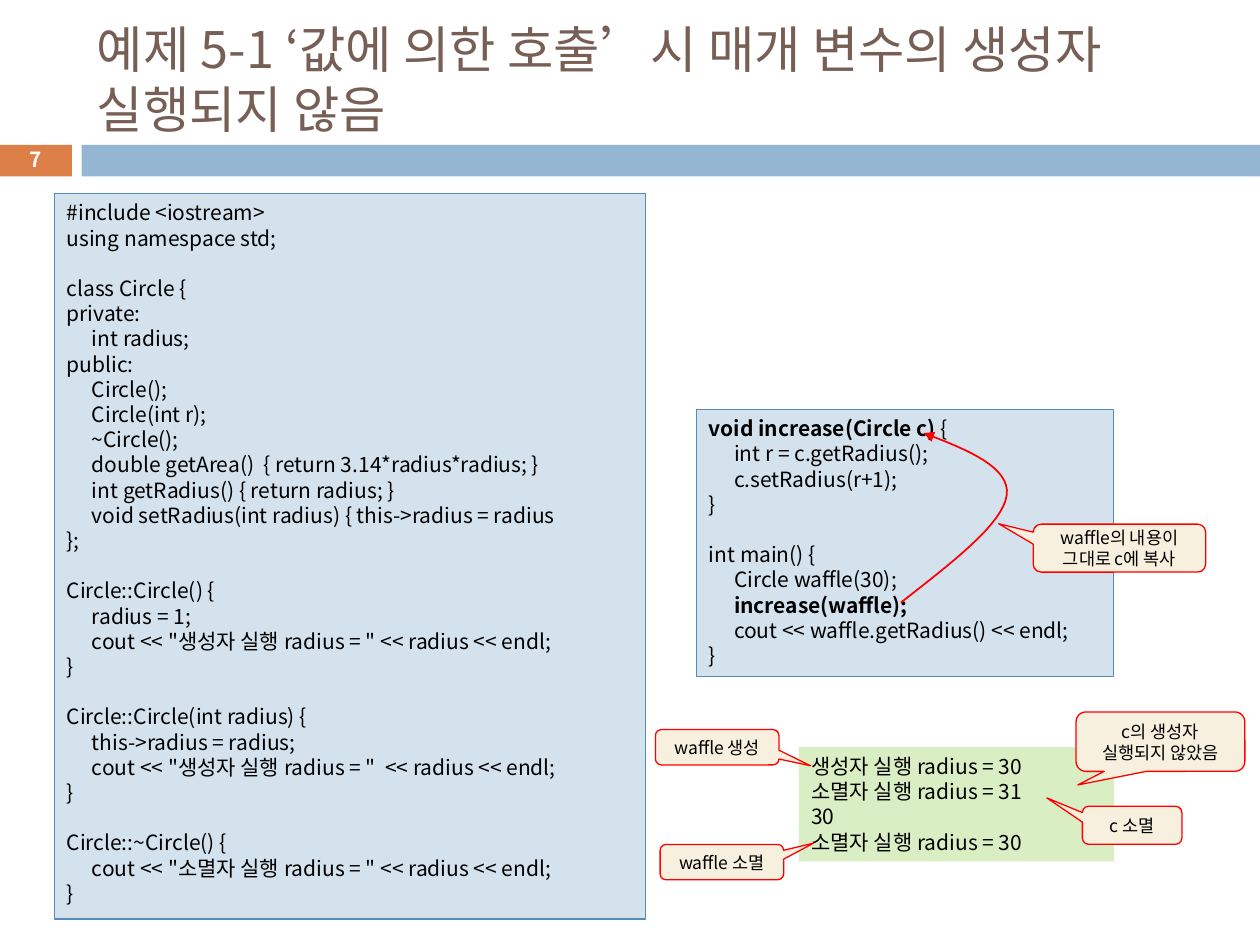
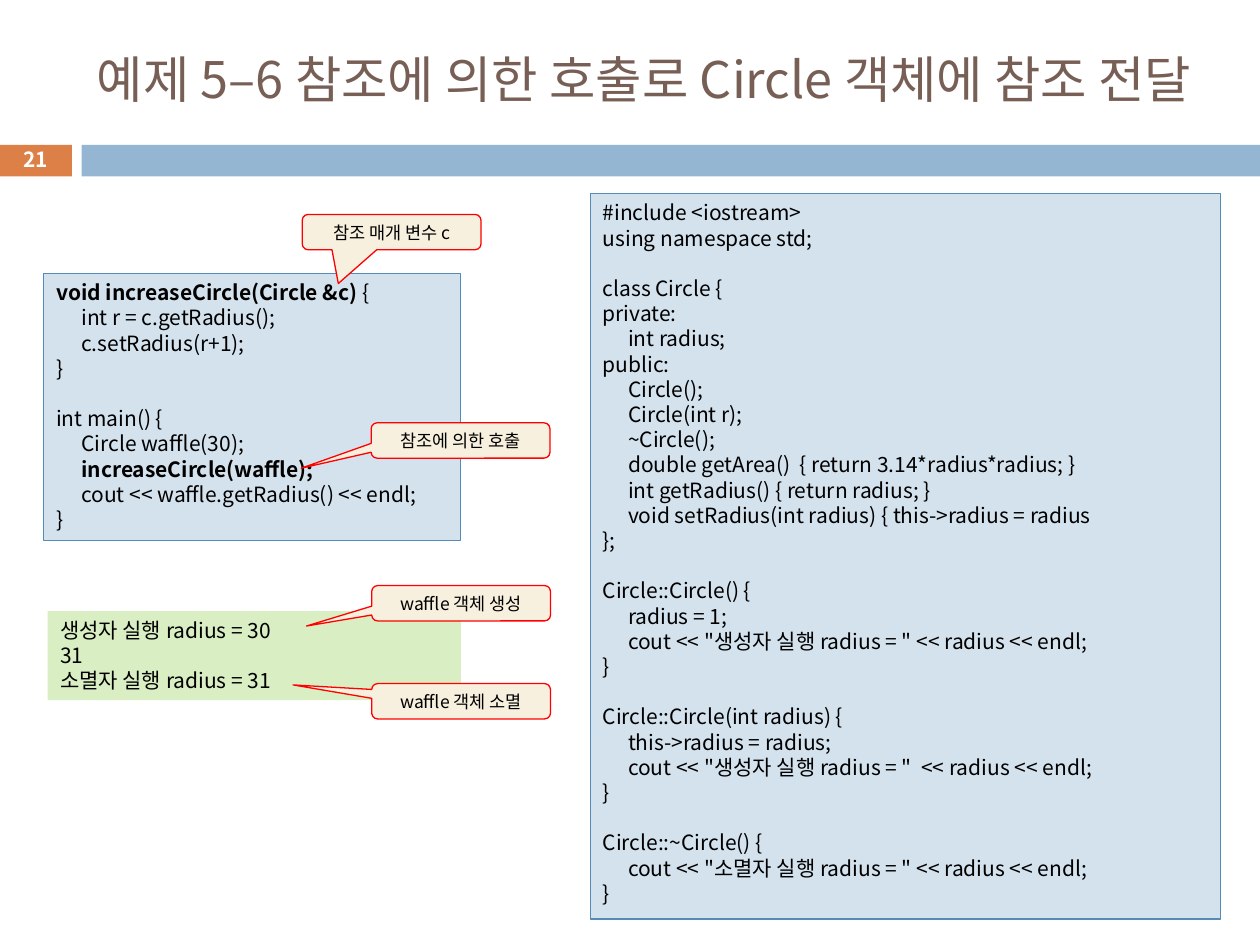
from lxml import etree
from pptx import Presentation
from pptx.dml.color import RGBColor
from pptx.enum.shapes import MSO_SHAPE
from pptx.enum.text import MSO_ANCHOR, PP_ALIGN
from pptx.oxml.ns import qn
from pptx.util import Pt

RECT = MSO_SHAPE.RECTANGLE
CALLOUT = MSO_SHAPE.ROUNDED_RECTANGULAR_CALLOUT
TOP, MIDDLE = MSO_ANCHOR.TOP, MSO_ANCHOR.MIDDLE
LEFT, CENTER = PP_ALIGN.LEFT, PP_ALIGN.CENTER

BLACK = RGBColor(0x00, 0x00, 0x00)
WHITE = RGBColor(0xFF, 0xFF, 0xFF)
RED = RGBColor(0xFF, 0x00, 0x00)
BROWN = RGBColor(0x77, 0x5F, 0x55)
ORANGE = RGBColor(0xDD, 0x80, 0x47)
BLUE = RGBColor(0x94, 0xB6, 0xD2)
PALE = RGBColor(0xD4, 0xE2, 0xED)
EDGE = RGBColor(0x55, 0x8B, 0xB8)
GREEN = RGBColor(0xDA, 0xEE, 0xC4)
CREAM = RGBColor(0xF7, 0xF0, 0xDE)

FONT = "Noto Sans CJK KR"
LEADING = 1.2
INDENT = 14.4
TAB = "    "
BOLD = "**"

CIRCLE = """#include <iostream>
using namespace std;

class Circle {
private:
    int radius;
public:
    Circle();
    Circle(int r);
    ~Circle();
    double getArea()  { return 3.14*radius*radius; }
    int getRadius() { return radius; }
    void setRadius(int radius) { this->radius = radius
};

Circle::Circle() {
    radius = 1;
    cout << "생성자 실행 radius = " << radius << endl;
}

Circle::Circle(int radius) {
    this->radius = radius;
    cout << "생성자 실행 radius = "  << radius << endl;
}

Circle::~Circle() {
    cout << "소멸자 실행 radius = " << radius << endl;
}"""


def caller(name, param):
    """C++ code of a function that changes a Circle, and the main that calls it."""
    return f"""**void {name}(Circle {param}) **{{
    int r = c.getRadius();
    c.setRadius(r+1);
}}

int main() {{
    Circle waffle(30);
    **{name}(waffle);**
    cout << waffle.getRadius() << endl;
}}"""


def bezier(a, b, c, d, steps=16):
    """Points along a cubic curve, without its start."""
    points = []
    for i in range(1, steps + 1):
        t = i / steps
        u = 1 - t
        points.append(tuple(
            Pt(u**3 * p + 3 * u * u * t * q + 3 * u * t * t * r + t**3 * s)
            for p, q, r, s in zip(a, b, c, d)))
    return points


class Deck:
    def __init__(self):
        self.prs = Presentation()
        self.prs.slide_width, self.prs.slide_height = Pt(720), Pt(540)
        self.slide = None

    def page(self, number, title):
        """Start a slide with its bands, title and number."""
        self.slide = self.prs.slides.add_slide(self.prs.slide_layouts[6])
        self.box((-0.7, 82.8, 41.8, 18), ORANGE)
        self.box((46.6, 82.8, 673.4, 18), BLUE)
        self.label((48.2, 18, 642.2, 53.3), title, 28.8, BROWN)
        self.label((-0.7, 81.4, 41.8, 19.4), BOLD + str(number) + BOLD,
                   11.9, WHITE, CENTER)

    def box(self, at, fill, line=None, kind=RECT):
        shape = self.slide.shapes.add_shape(kind, *map(Pt, at))
        shape.shadow.inherit = False
        shape.fill.solid()
        shape.fill.fore_color.rgb = fill
        if line is None:
            shape.line.fill.background()
        else:
            shape.line.color.rgb = line
            shape.line.width = Pt(0.75)
        return shape

    def put(self, shape, text, size, color=BLACK, align=LEFT, anchor=TOP):
        """Fill a shape; an empty line is a gap, ** switches bold."""
        frame = shape.text_frame
        frame.word_wrap = True
        frame.vertical_anchor = anchor
        pitch = Pt(size * LEADING)
        para, gap = None, False
        for line in text.split("\n"):
            if not line:
                gap = True
                continue
            para = frame.add_paragraph() if para else frame.paragraphs[0]
            para.alignment = align
            para.line_spacing = pitch
            if gap:
                para.space_before = pitch
            gap = False
            if line.startswith(TAB):
                para._p.get_or_add_pPr().set("marL", str(Pt(INDENT)))
                line = line[len(TAB):]
            for i, part in enumerate(line.split(BOLD)):
                if part:
                    run = para.add_run()
                    run.text = part
                    self.style(run, size, color, i % 2 == 1)

    def style(self, run, size, color, bold):
        font = run.font
        font.size, font.bold, font.name = Pt(size), bold, FONT
        font.color.rgb = color
        east = etree.SubElement(run._r.get_or_add_rPr(), qn("a:ea"))
        east.set("typeface", FONT)

    def label(self, at, text, size, color, align=LEFT):
        shape = self.slide.shapes.add_textbox(*map(Pt, at))
        self.put(shape, text, size, color, align, MIDDLE)

    def code(self, at, text):
        self.put(self.box(at, PALE, EDGE), text, 12)

    def output(self, at, text):
        self.put(self.box(at, GREEN), text, 12)

    def callout(self, at, tip, text):
        """Balloon whose tip is given as shares of its size from its centre."""
        shape = self.box(at, CREAM, RED, CALLOUT)
        for i, value in enumerate((*tip, 0.167)):
            shape.adjustments[i] = value
        self.put(shape, text, 10, BLACK, CENTER, MIDDLE)

    def curve(self, start, *parts):
        """Red arrow along cubic parts, each two controls and an end."""
        outline = self.slide.shapes.build_freeform(*map(Pt, start), scale=1.0)
        for part in parts:
            outline.add_line_segments(bezier(start, *part), close=False)
            start = part[-1]
        shape = outline.convert_to_shape()
        shape.shadow.inherit = False
        shape.fill.background()
        shape.line.color.rgb = RED
        shape.line.width = Pt(1)
        stroke = shape.element.spPr.find(qn("a:ln"))
        etree.SubElement(stroke, qn("a:tailEnd")).set("type", "triangle")


def by_value(deck):
    deck.page(7, "예제 5-1 ‘값에 의한 호출’시 매개 변수의 생성자 실행되지 않음")
    deck.code((31, 110.7, 337.8, 414.4), CIRCLE)
    deck.code((398, 234, 238.4, 152.6), caller("increase", "c"))
    deck.output((456.5, 427, 180, 65.3),
                "생성자 실행 radius = 30\n소멸자 실행 radius = 31\n"
                "30\n소멸자 실행 radius = 30")
    deck.callout((374.5, 416.9, 70.6, 20.2), (0.755, 0.523), "waffle 생성")
    deck.callout((618.5, 460.7, 56.9, 21.8), (-0.857, -0.718), "c 소멸")
    deck.callout((614.9, 406.8, 96.5, 34), (-0.489, 0.728),
                 "c의 생성자\n실행되지 않았음")
    deck.callout((377.2, 482.5, 70.6, 20.2), (0.743, -0.537), "waffle 소멸")
    deck.curve((514.8, 344.4),
               ((543.6, 321.8), (573.1, 299.5), (575.3, 283)),
               ((577.4, 267.1), (553, 257), (527.8, 247.5)))
    deck.callout((590.4, 299.5, 98.6, 27.4), (-0.7, -0.509),
                 "waffle의 내용이 그대로 c에 복사")


def by_reference(deck):
    deck.page(21, "예제 5–6 참조에 의한 호출로 Circle 객체에 참조 전달")
    deck.code((337.4, 110.7, 360, 414.4), CIRCLE)
    deck.code((25, 156.3, 238.4, 152.6), caller("increaseCircle", "&c"))
    deck.output((27.2, 349.2, 236.2, 50.9),
                "생성자 실행 radius = 30\n31\n소멸자 실행 radius = 31")
    for left, top, tip, text in (
            (212.4, 334.6, (-0.865, 0.645), "waffle 객체 생성"),
            (212.4, 390.6, (-0.94, -0.462), "waffle 객체 소멸"),
            (212.1, 241.6, (-0.892, 0.786), "참조에 의한 호출"),
            (172.7, 122.5, (-0.298, 1.454), "참조 매개 변수 c")):
        deck.callout((left, top, 102.2, 20.2), tip, text)


def main():
    deck = Deck()
    by_value(deck)
    by_reference(deck)
    deck.prs.save("out.pptx")


if __name__ == "__main__":
    main()
